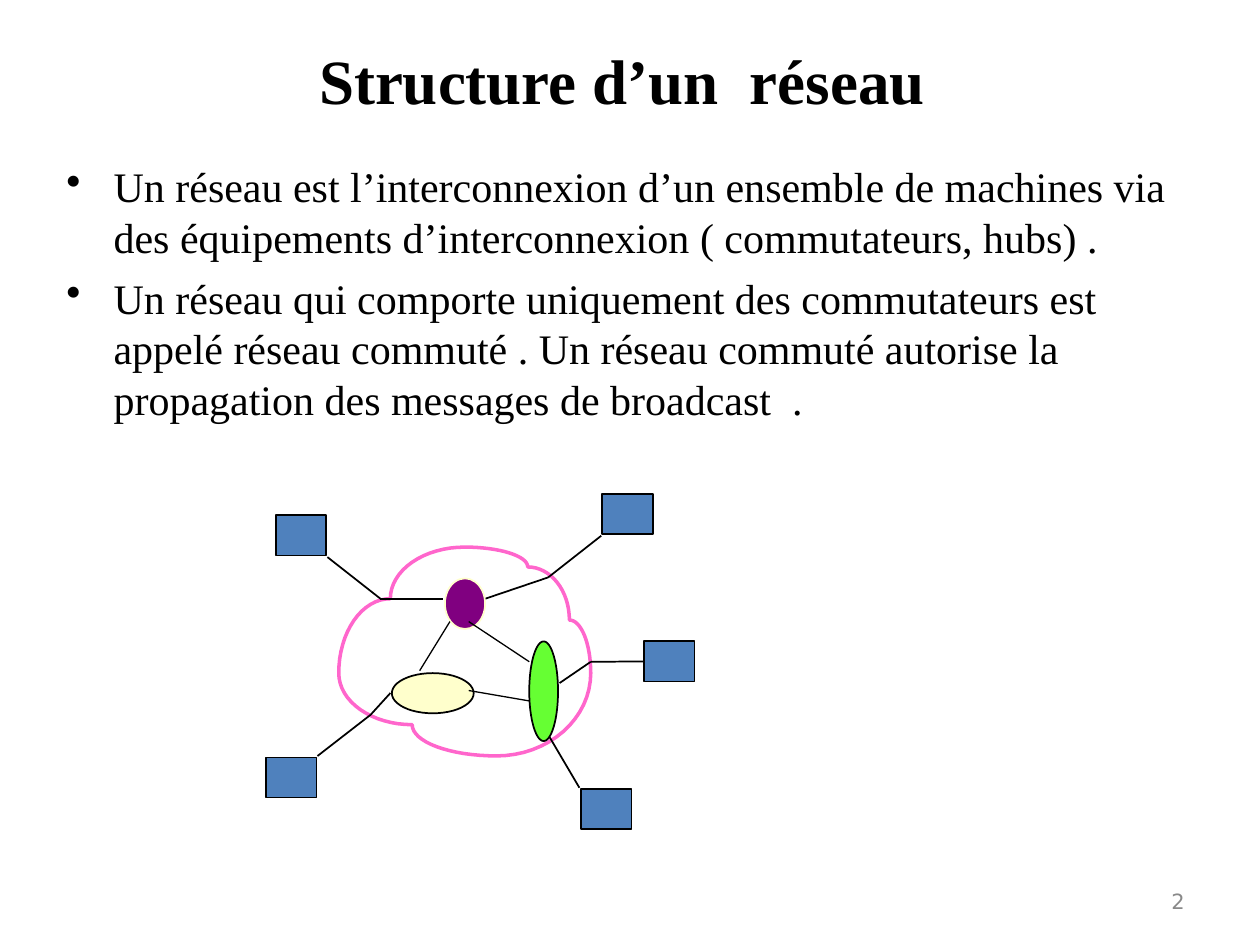
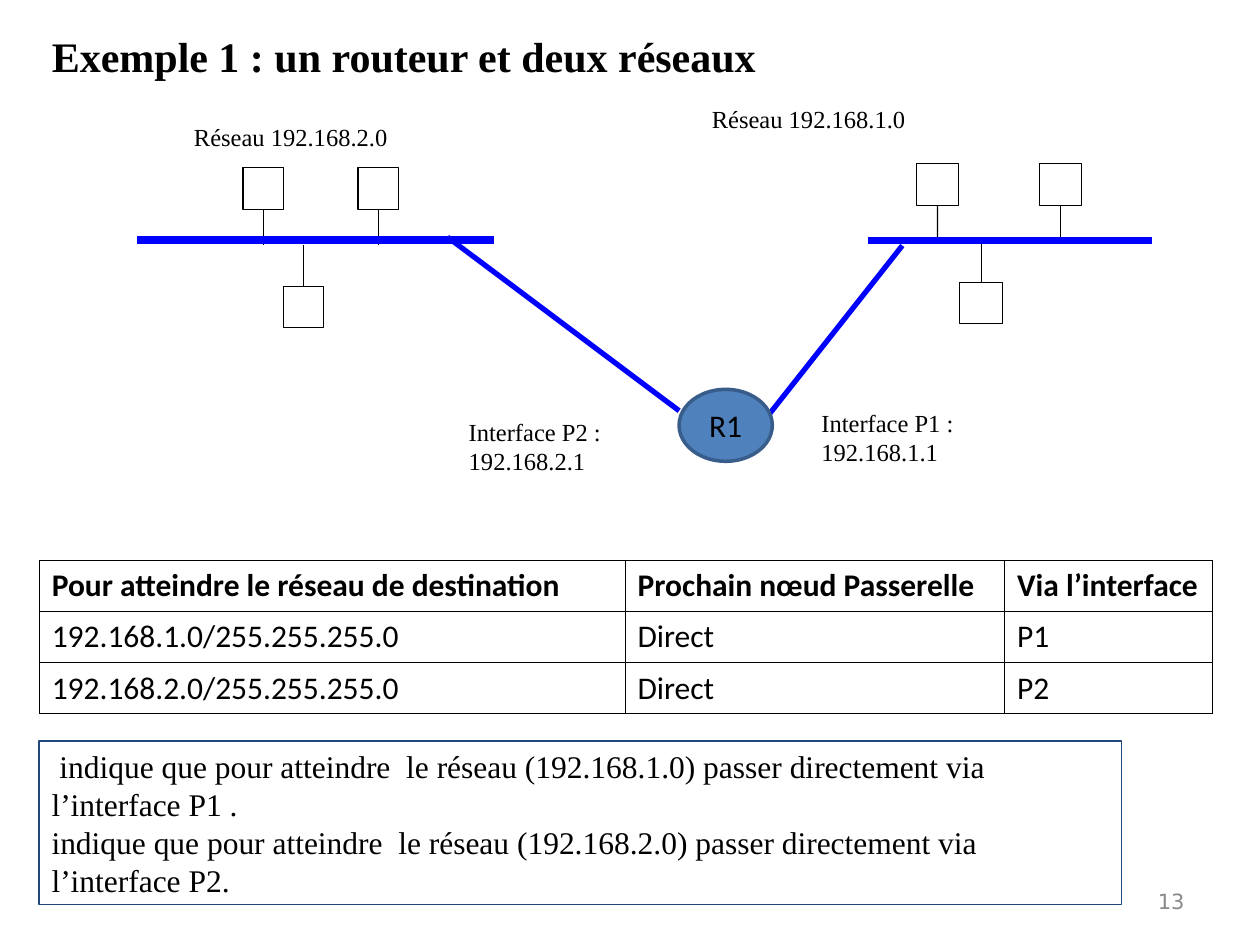
from math import cos, pi, sin

from lxml.etree import SubElement
from pptx import Presentation
from pptx.dml.color import RGBColor
from pptx.enum.shapes import MSO_CONNECTOR, MSO_SHAPE
from pptx.enum.text import MSO_ANCHOR, MSO_AUTO_SIZE, PP_ALIGN
from pptx.oxml.ns import qn
from pptx.util import Cm, Pt

# Shared look
SERIF, SANS, PAGE_FONT = "Times New Roman", "Calibri", "DejaVu Sans"
BLACK, WHITE, GREY = "000000", "FFFFFF", "898989"
STEEL, EDGE, NAVY = "4F81BD", "385D8A", "1F497D"
BLUE, PINK = "0000FF", "FF66CC"
CREAM, GREEN, PURPLE = "FFFFCC", "66FF33", "800080"
LEFT, CENTER, RIGHT = PP_ALIGN.LEFT, PP_ALIGN.CENTER, PP_ALIGN.RIGHT
TOP, MIDDLE = MSO_ANCHOR.TOP, MSO_ANCHOR.MIDDLE


def paint(color, value):
    color.rgb = RGBColor.from_string(value)


def bullet(para, indent):
    props = para._p.get_or_add_pPr()
    props.set("marL", str(Cm(indent)))
    props.set("indent", str(-Cm(indent)))
    tint = SubElement(props, qn("a:buClr"))
    SubElement(tint, qn("a:srgbClr"), val=BLACK)
    SubElement(props, qn("a:buChar"), char="•")


def write(frame, lines, size, font=SERIF, color=BLACK, bold=False,
          align=LEFT, indent=0, gap=0):
    for i, line in enumerate(lines):
        para = frame.add_paragraph() if i else frame.paragraphs[0]
        para.alignment = align
        if indent:
            bullet(para, indent)
        if gap and i:
            para.space_before = Pt(gap)
        run = para.add_run()
        run.text = line
        run.font.name, run.font.size, run.font.bold = font, Pt(size), bold
        paint(run.font.color, color)


def label(slide, box, lines, size, wrap=True, anchor=TOP, **style):
    frame = slide.shapes.add_textbox(*map(Cm, box)).text_frame
    frame.word_wrap, frame.vertical_anchor = wrap, anchor
    write(frame, lines, size, **style)


def style_shape(item, fill, line, width):
    item.shadow.inherit = False
    if fill:
        item.fill.solid()
        paint(item.fill.fore_color, fill)
    else:
        item.fill.background()
    paint(item.line.color, line)
    item.line.width = Pt(width)
    return item


def shape(slide, kind, box, fill, line=BLACK, width=1):
    item = slide.shapes.add_shape(kind, *map(Cm, box))
    return style_shape(item, fill, line, width)


def wire(slide, start, end, color=BLACK, width=1):
    item = slide.shapes.add_connector(
        MSO_CONNECTOR.STRAIGHT, *map(Cm, (*start, *end)))
    paint(item.line.color, color)
    item.line.width = Pt(width)
    SubElement(item._element.spPr, qn("a:effectLst"))
    return item


def new_slide(deck, title, box, size, align, page):
    slide = deck.slides.add_slide(deck.slide_layouts[5])
    head = slide.shapes.title
    head.left, head.top, head.width, head.height = map(Cm, box)
    frame = head.text_frame
    frame.auto_size, frame.word_wrap = MSO_AUTO_SIZE.NONE, True
    frame.vertical_anchor = MIDDLE
    write(frame, [title], size, bold=True, align=align)
    label(slide, (18.21, 17.65, 5.92, 1.02), [page], 12, anchor=MIDDLE,
          font=PAGE_FONT, color=GREY, align=RIGHT)
    return slide


# Switched network: cloud, hosts and switches
def quarter(start, end, flat, steps=16):
    """Points of a quarter ellipse that leaves level if flat, else upright."""
    (ax, ay), (bx, by) = start, end
    for i in range(1, steps + 1):
        s, c = sin(pi / 2 * i / steps), cos(pi / 2 * i / steps)
        if flat:
            yield ax + (bx - ax) * s, by + (ay - by) * c
        else:
            yield bx + (ax - bx) * c, ay + (by - ay) * s


def draw_cloud(slide, x, y):
    start = point = (1.47, 3.61)
    arcs = [((2.51, 2.11), False), ((4.01, 1.07), False),
            ((5.28, 1.47), True), ((6.12, 2.54), True),
            ((6.55, 3.61), True), ((4.65, 5.28), False),
            ((2.95, 4.65), True), (start, True)]
    dots = []
    for end, flat in arcs:
        dots += quarter(point, end, flat)
        point = end
    path = slide.shapes.build_freeform(
        Cm(x + start[0]), Cm(y + start[1]), scale=1.0)
    path.add_line_segments([(Cm(x + px), Cm(y + py)) for px, py in dots])
    style_shape(path.convert_to_shape(), None, PINK, 2)


def draw_mesh(slide, x, y):
    def at(point):
        return x + point[0], y + point[1]

    draw_cloud(slide, x, y)
    # Each host with its cable into the cloud
    hosts = [
        ((0.2, 0.43), [(1.24, 1.27), (2.31, 2.11), (3.58, 2.11)]),
        ((0, 5.31), [(1.04, 5.28), (2.11, 4.45), (2.51, 4.01)]),
        ((6.35, 5.94), [(6.32, 5.92), (5.69, 4.85)]),
        ((7.62, 2.97), [(7.62, 3.38), (6.55, 3.38), (5.92, 3.81)]),
        ((6.78, 0), [(6.76, 0.84), (5.69, 1.68), (4.42, 2.11)]),
    ]
    for spot, cable in hosts:
        host = shape(slide, MSO_SHAPE.RECTANGLE, (*at(spot), 1.02, 0.81),
                     STEEL)
        for i, (start, end) in enumerate(zip(cable, cable[1:])):
            line = wire(slide, at(start), at(end))
            if i == 0 and start[0] == spot[0]:
                line.begin_connect(host, 1)
    # Switches and the links between them
    for spot, size, fill, edge in [
            ((2.54, 3.61), (1.65, 0.81), CREAM, BLACK),
            ((5.31, 2.97), (0.58, 2.01), GREEN, BLACK),
            ((3.61, 1.7), (0.81, 1.02), PURPLE, CREAM)]:
        shape(slide, MSO_SHAPE.OVAL, (*at(spot), *size), fill, edge)
    for start, end in [((5.31, 3.38), (4.09, 2.57)),
                       ((5.31, 4.17), (4.09, 3.96)),
                       ((3.71, 2.57), (3.1, 3.56))]:
        wire(slide, at(start), at(end), width=0.75)


# Routed networks: two buses joined by a router
def draw_bus(slide, x, y, length, depth, side, upper, lower):
    """Hosts hang above and below a bus that lies depth under the box top."""
    high, reach = 0.84, 1.55
    spots = [(left, 0, 2) for left in upper] + [(lower, 2.39, 0)]
    for left, top, site in spots:
        host = shape(slide, MSO_SHAPE.RECTANGLE,
                     (x + left, y + top, side, high), WHITE, width=0.75)
        mid = x + left + side / 2
        edge = y + top + (high if site == 2 else 0)
        stub = wire(slide, (mid, edge), (mid, y + reach), width=0.75)
        stub.begin_connect(host, site)
    wire(slide, (x, y + depth), (x + length, y + depth), BLUE, 4.5)


def draw_routed(slide, x, y):
    draw_bus(slide, x, y + 1.4, 7.19, 1.45, 0.81, (2.13, 4.45), 2.95)
    draw_bus(slide, x + 14.73, y + 1.32, 5.72, 1.55, 0.86, (0.97, 3.45), 1.85)
    for (ax, ay), (bx, by) in [((6.25, 2.8), (10.92, 6.3)),
                               ((12.65, 6.48), (15.42, 2.97))]:
        wire(slide, (x + ax, y + ay), (x + bx, y + by), BLUE, 3)
    router = shape(slide, MSO_SHAPE.OVAL, (x + 10.92, y + 5.87, 1.88, 1.45),
                   STEEL, EDGE, 2)
    router.text_frame.vertical_anchor = MIDDLE
    write(router.text_frame, ["R1"], 18, font=SANS, align=CENTER)
    for left, top, wide, high, lines in [
            (0.89, 0.36, 4.42, 0.86, ["Réseau 192.168.2.0"]),
            (11.33, 0, 4.42, 0.86, ["Réseau 192.168.1.0"]),
            (6.43, 6.3, 3.18, 1.45, ["Interface P2 :", "192.168.2.1"]),
            (13.54, 6.12, 3.18, 1.45, ["Interface P1 :", "192.168.1.1"])]:
        label(slide, (x + left, y + top, wide, high), lines, 14, wrap=False)


def border(cell):
    props = cell._tc.get_or_add_tcPr()
    for side in ("lnL", "lnR", "lnT", "lnB"):
        line = SubElement(props, qn(f"a:{side}"), w=str(Pt(0.45)))
        fill = SubElement(line, qn("a:solidFill"))
        SubElement(fill, qn("a:srgbClr"), val=BLACK)


def draw_routes(slide, x, y):
    rows = [("Pour atteindre le réseau de destination",
             "Prochain nœud Passerelle", "Via l’interface"),
            ("192.168.1.0/255.255.255.0", "Direct", "P1"),
            ("192.168.2.0/255.255.255.0", "Direct", "P2")]
    widths, high = (11.81, 7.65, 4.19), 1.03
    table = slide.shapes.add_table(
        len(rows), len(widths), Cm(x), Cm(y), Cm(sum(widths)),
        Cm(high * len(rows))).table
    table.first_row = table.horz_banding = False
    for col, width in zip(table.columns, widths):
        col.width = Cm(width)
    for r, row in enumerate(rows):
        table.rows[r].height = Cm(high)
        for c, text in enumerate(row):
            cell = table.cell(r, c)
            border(cell)
            cell.fill.solid()
            paint(cell.fill.fore_color, WHITE)
            write(cell.text_frame, [text], 18, font=SANS, bold=r == 0)


def draw_note(slide, box):
    note = shape(slide, MSO_SHAPE.RECTANGLE, box, None, NAVY, 0.75)
    note.text_frame.word_wrap = True
    note.text_frame.vertical_anchor = TOP
    write(note.text_frame, [
        " indique que pour atteindre  le réseau (192.168.1.0) passer "
        "directement via l’interface P1 .",
        "indique que pour atteindre  le réseau (192.168.2.0) passer "
        "directement via l’interface P2."], 18)


def network_slide(deck):
    slide = new_slide(deck, "Structure d’un  réseau ", (1.9, 0, 21.6, 3.18),
                      36, CENTER, "2")
    label(slide, (1.09, 3.12, 23.32, 5.82), [
        "Un réseau est l’interconnexion d’un ensemble de machines via des "
        "équipements d’interconnexion ( commutateurs, hubs) .",
        "Un réseau qui comporte uniquement des commutateurs est appelé "
        "réseau commuté . Un réseau commuté autorise la propagation des "
        "messages de broadcast  ."], 24, indent=0.95, gap=6)
    draw_mesh(slide, 5.36, 9.96)


def router_slide(deck):
    slide = new_slide(deck, "Exemple 1 : un routeur et deux réseaux",
                      (0.79, 0.41, 22.86, 1.42), 24, LEFT, "13")
    draw_routed(slide, 2.77, 1.98)
    draw_routes(slide, 0.79, 11.3)
    draw_note(slide, (0.79, 14.94, 21.82, 3.3))


def main():
    deck = Presentation()
    deck.slide_width, deck.slide_height = Cm(25.4), Cm(19.05)
    network_slide(deck)
    router_slide(deck)
    deck.save("out.pptx")


if __name__ == "__main__":
    main()
